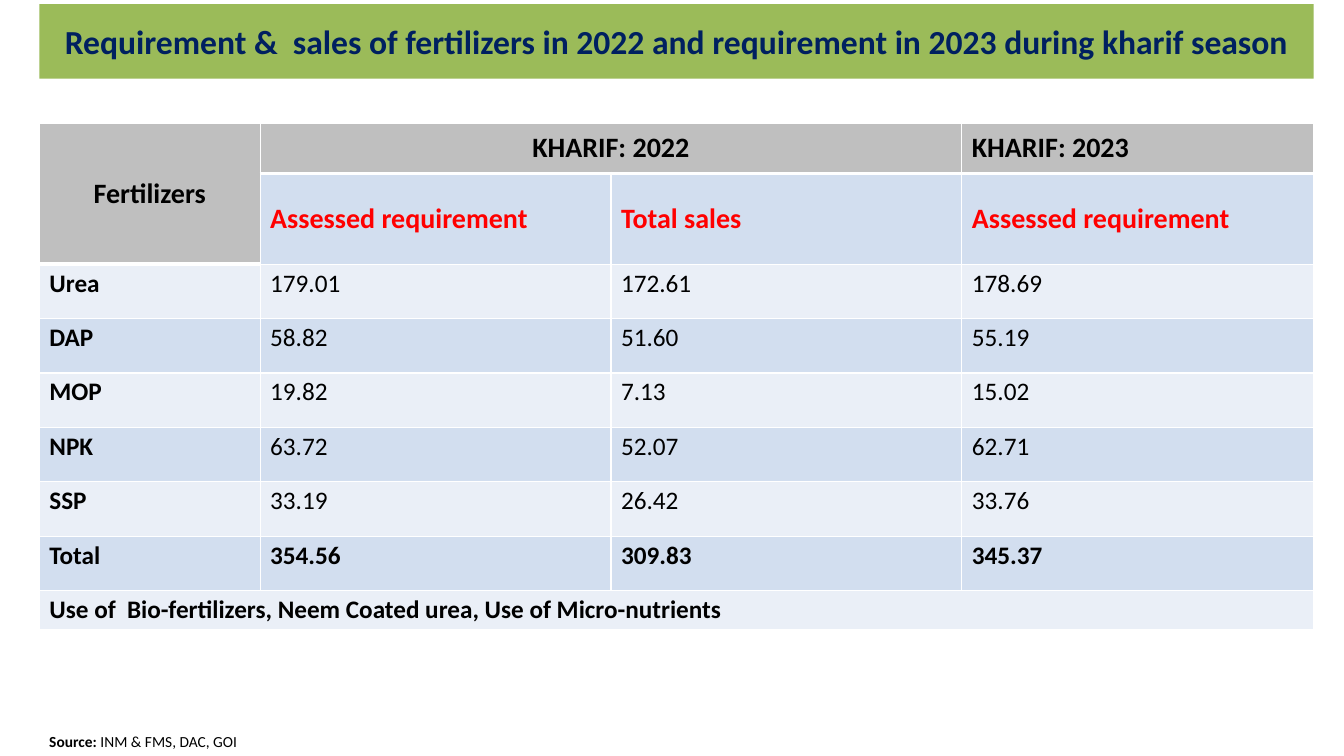
from dataclasses import dataclass
from lxml.etree import SubElement as Sub
from pptx import Presentation
from pptx.dml.color import RGBColor as Rgb
from pptx.enum.shapes import MSO_SHAPE as Kind
from pptx.enum.text import MSO_ANCHOR as Anchor, MSO_AUTO_SIZE as Fit, PP_ALIGN as Align
from pptx.oxml.ns import qn
from pptx.slide import Slide
from pptx.table import Table
from pptx.util import Inches, Pt


@dataclass(frozen=True)
class Theme:
    font: str = "Calibri"
    banner: str = "9BBB59"
    navy: str = "002060"
    black: str = "000000"
    red: str = "FF0000"
    white: str = "FFFFFF"
    grey: str = "BFBFBF"
    dark: str = "D2DEEF"
    light: str = "EAEFF7"
    title: int = 24
    head: int = 20
    body: int = 18
    note: int = 11
    thin: int = 1
    thick: int = 3


@dataclass(frozen=True)
class Entry:
    text: str
    row: int
    col: int
    fill: str
    size: int = 18
    color: str = "000000"
    bold: bool = True
    align: Align = Align.LEFT
    anchor: Anchor = Anchor.TOP
    rows: int = 1
    cols: int = 1


LOOK = Theme()
LEFT, WIDE = 0.39, 12.64
WIDTHS = [2.19, 3.48, 3.48, 3.49]
HEIGHTS = [0.5, 0.9] + [0.54] * 6 + [0.39]
SALES = [
    ("Urea", "179.01", "172.61", "178.69"),
    ("DAP", "58.82", "51.60", "55.19"),
    ("MOP", "19.82", "7.13", "15.02"),
    ("NPK", "63.72", "52.07", "62.71"),
    ("SSP", "33.19", "26.42", "33.76"),
    ("Total", "354.56", "309.83", "345.37"),
]


def assign(item: object, **values: object) -> None:
    for name, value in values.items():
        setattr(item, name, value)


def write(para: object, text: str, size: int, color: str, bold: bool) -> None:
    run = para.add_run()
    run.text = text
    assign(run.font, name=LOOK.font, size=Pt(size), bold=bold)
    run.font.color.rgb = Rgb.from_string(color)


def edge(table: Table, row: int, col: int) -> None:
    seam = 2 if col == 0 else 1
    sides = {
        "L": LOOK.thin,
        "R": LOOK.thin,
        "T": LOOK.thick if row == seam else LOOK.thin,
        "B": LOOK.thick if row < seam else LOOK.thin,
    }
    props = table.cell(row, col)._tc.get_or_add_tcPr()
    for side, width in sides.items():
        line = Sub(props, qn(f"a:ln{side}"), w=str(Pt(width)))
        Sub(Sub(line, qn("a:solidFill")), qn("a:srgbClr"), val=LOOK.white)


def enter(table: Table, entry: Entry) -> None:
    row, col = entry.row, entry.col
    cell = table.cell(row, col)
    if entry.rows * entry.cols > 1:
        cell.merge(table.cell(row + entry.rows - 1, col + entry.cols - 1))
    assign(
        cell,
        vertical_anchor=entry.anchor,
        margin_left=Inches(0.1),
        margin_right=Inches(0.1),
        margin_top=Inches(0.04),
        margin_bottom=Inches(0.04),
    )
    cell.fill.solid()
    cell.fill.fore_color.rgb = Rgb.from_string(entry.fill)
    para = cell.text_frame.paragraphs[0]
    para.alignment = entry.align
    write(para, entry.text, entry.size, entry.color, entry.bold)


def gather() -> list[Entry]:
    head = {"size": LOOK.head, "anchor": Anchor.MIDDLE}
    mid = {**head, "align": Align.CENTER}
    items = [
        Entry("Fertilizers", 0, 0, LOOK.grey, rows=2, **mid),
        Entry("KHARIF: 2022", 0, 1, LOOK.grey, cols=2, **mid),
        Entry("KHARIF: 2023", 0, 3, LOOK.grey, **head),
    ]
    names = ["Assessed requirement", "Total sales", "Assessed requirement"]
    for col, name in enumerate(names, 1):
        items.append(Entry(name, 1, col, LOOK.dark, color=LOOK.red, **head))
    for row, sale in enumerate(SALES, 2):
        fill = LOOK.dark if row % 2 else LOOK.light
        for col, text in enumerate(sale):
            bold = col == 0 or sale[0] == "Total"
            items.append(Entry(text, row, col, fill, LOOK.body, bold=bold))
    tip = "Use of  Bio-fertilizers, Neem Coated urea, Use of Micro-nutrients"
    items.append(Entry(tip, len(HEIGHTS) - 1, 0, LOOK.light, LOOK.body, cols=4))
    return items


def banner(slide: Slide) -> None:
    box = slide.shapes.add_shape(
        Kind.RECTANGLE, Inches(LEFT), Inches(0.04), Inches(WIDE), Inches(0.74)
    )
    box.shadow.inherit = False
    box.fill.solid()
    box.fill.fore_color.rgb = Rgb.from_string(LOOK.banner)
    box.line.fill.background()
    frame = box.text_frame
    assign(frame, word_wrap=True, vertical_anchor=Anchor.MIDDLE)
    para = frame.paragraphs[0]
    para.alignment = Align.CENTER
    text = "Requirement &  sales of fertilizers in 2022 and requirement in 2023 during kharif season"
    write(para, text, LOOK.title, LOOK.navy, True)


def grid(slide: Slide) -> None:
    table = slide.shapes.add_table(
        len(HEIGHTS), len(WIDTHS), Inches(LEFT), Inches(1.22),
        Inches(WIDE), Inches(sum(HEIGHTS)),
    ).table
    for col, width in zip(table.columns, WIDTHS):
        col.width = Inches(width)
    for row, height in zip(table.rows, HEIGHTS):
        row.height = Inches(height)
    for row in range(len(HEIGHTS)):
        for col in range(len(WIDTHS)):
            edge(table, row, col)
    for entry in gather():
        enter(table, entry)


def source(slide: Slide) -> None:
    box = slide.shapes.add_textbox(
        Inches(LEFT), Inches(7.21), Inches(6.67), Inches(0.29)
    )
    frame = box.text_frame
    assign(frame, word_wrap=True, auto_size=Fit.SHAPE_TO_FIT_TEXT)
    para = frame.paragraphs[0]
    write(para, "Source: ", LOOK.note, LOOK.black, True)
    write(para, "INM & FMS, DAC, GOI", LOOK.note, LOOK.black, False)


def main() -> None:
    deck = Presentation()
    assign(deck, slide_width=Inches(13.33), slide_height=Inches(7.5))
    slide = deck.slides.add_slide(deck.slide_layouts[6])
    banner(slide)
    grid(slide)
    source(slide)
    deck.save("out.pptx")


if __name__ == "__main__":
    main()
